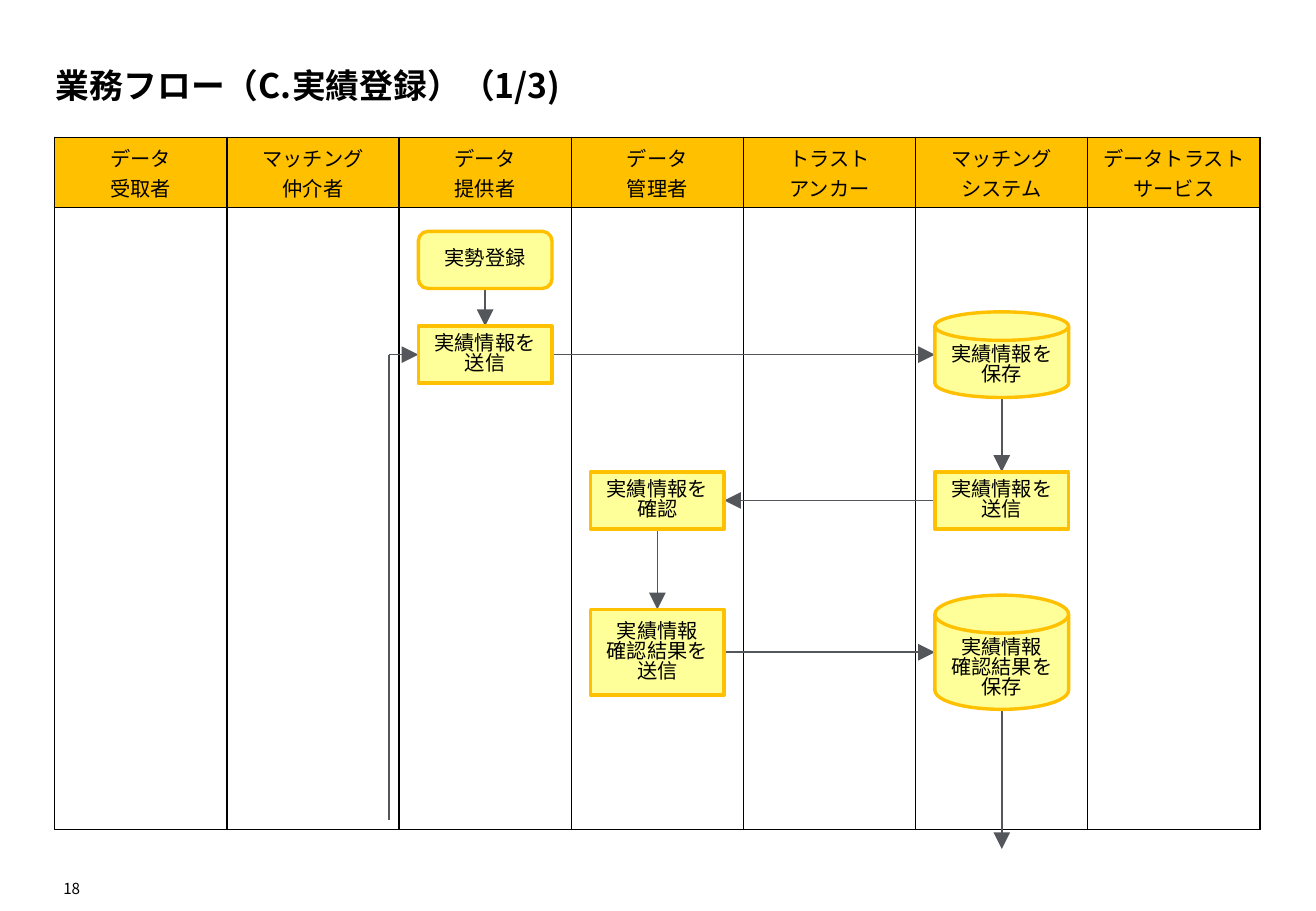
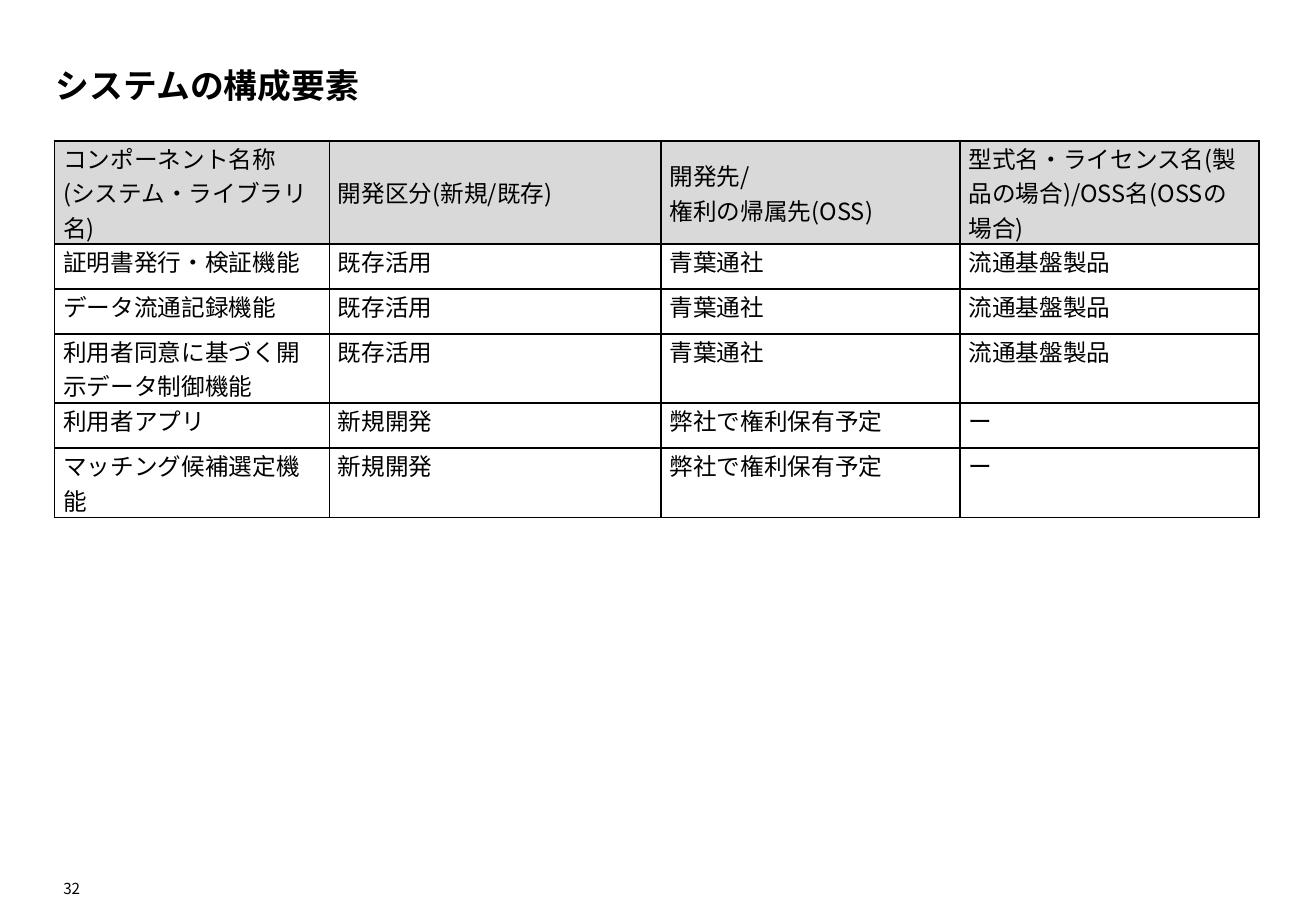
from dataclasses import dataclass

from lxml import etree
from pptx import Presentation
from pptx import util as u
from pptx.dml.color import RGBColor
from pptx.enum import shapes, text
from pptx.oxml.ns import qn


@dataclass(frozen=True)
class Theme:
    black: str = "000000"
    lane_header: str = "FFC000"
    node_fill: str = "FFFF99"
    arrow: str = "53565A"
    table_header: str = "D9D9D9"
    font: str = "Noto Sans CJK JP"
    lane_font: str = "Arial"
    title_size: int = 20
    table_size: int = 14
    flow_size: int = 12
    number_size: int = 9


THEME = Theme()
PROCESS = shapes.MSO_SHAPE.FLOWCHART_PROCESS
START = shapes.MSO_SHAPE.FLOWCHART_ALTERNATE_PROCESS
STORE = shapes.MSO_SHAPE.FLOWCHART_MAGNETIC_DISK
TOP, LEFT, BOTTOM, RIGHT = range(4)
LEFT_ALIGN, CENTER, RIGHT_ALIGN = (
    text.PP_ALIGN.LEFT, text.PP_ALIGN.CENTER, text.PP_ALIGN.RIGHT)

# Page grid, in inches
PAGE_WIDTH, PAGE_HEIGHT = 10.83, 7.5
GRID_LEFT, GRID_WIDTH = 0.45, 9.92
TEXT_LEFT = 0.46
LANES = ["データ\n受取者", "マッチング\n仲介者", "データ\n提供者", "データ\n管理者",
         "トラスト\nアンカー", "マッチング\nシステム", "データトラスト\nサービス"]
LANE_WIDTH = GRID_WIDTH / len(LANES)
PROVIDER, MANAGER, SYSTEM = 2, 3, 5
NODE_WIDTH, NODE_UNIT = 1.1, 0.94 / 4

COMPONENTS = [
    ["コンポーネント名称\v(システム・ライブラリ名)", "開発区分(新規/既存)",
     "開発先/\n権利の帰属先(OSS)", "型式名・ライセンス名(製品の場合)/OSS名(OSSの場合)"],
    ["証明書発行・検証機能", "既存活用", "青葉通社", "流通基盤製品"],
    ["データ流通記録機能", "既存活用", "青葉通社", "流通基盤製品"],
    ["利用者同意に基づく開示データ制御機能", "既存活用", "青葉通社", "流通基盤製品"],
    ["利用者アプリ", "新規開発", "弊社で権利保有予定", "ー"],
    ["マッチング候補選定機能", "新規開発", "弊社で権利保有予定", "ー"],
]


def color(value):
    return RGBColor.from_string(value)


# Text: "\n" starts a paragraph, "\v" breaks a line
def write(frame, content, size, align=LEFT_ALIGN, bold=False, font=THEME.font, spacing=None):
    for index, line in enumerate(content.split("\n")):
        paragraph = frame.paragraphs[0] if index == 0 else frame.add_paragraph()
        paragraph.alignment = align
        if spacing:
            paragraph.line_spacing = spacing
        for part_index, part in enumerate(line.split("\v")):
            if part_index:
                paragraph.add_line_break()
            run = paragraph.add_run()
            run.text = part
            run.font.name = font
            run.font.size = u.Pt(size)
            run.font.bold = bold
            run.font.color.rgb = color(THEME.black)
            east_asian = etree.SubElement(run.font._element, qn("a:ea"))
            east_asian.set("typeface", THEME.font)


def set_insets(frame, inset):
    frame.margin_left = frame.margin_right = u.Inches(inset)
    frame.margin_top = frame.margin_bottom = u.Inches(inset)


def add_label(slide, box, content, size, align=LEFT_ALIGN, bold=False, wrap=True):
    shape = slide.shapes.add_textbox(*map(u.Inches, box))
    frame = shape.text_frame
    set_insets(frame, 0)
    frame.word_wrap = wrap
    frame.vertical_anchor = text.MSO_ANCHOR.BOTTOM
    write(frame, content, size, align, bold)


# Blank slide with the shared title and page number
def add_page(presentation, title, number):
    slide = presentation.slides.add_slide(presentation.slide_layouts[6])
    add_label(slide, (TEXT_LEFT, 0.2, GRID_WIDTH, 0.67), title, THEME.title_size, bold=True)
    add_label(slide, (TEXT_LEFT, 7.2, 0.2, 0.19), number, THEME.number_size,
              RIGHT_ALIGN, wrap=False)
    return slide


# Tables
def add_borders(cell):
    properties = cell._tc.get_or_add_tcPr()
    for side in ("lnL", "lnR", "lnT", "lnB"):
        line = etree.SubElement(properties, qn(f"a:{side}"), w=str(u.Pt(1)))
        fill = etree.SubElement(line, qn("a:solidFill"))
        etree.SubElement(fill, qn("a:srgbClr"), val=THEME.black)


def add_grid(slide, top, widths, heights, rows, header_fill, size,
             align=LEFT_ALIGN, font=THEME.font, insets=None):
    graphic = slide.shapes.add_table(
        len(heights), len(widths), u.Inches(GRID_LEFT), u.Inches(top),
        u.Inches(sum(widths)), u.Inches(sum(heights)))
    table = graphic.table
    table.first_row = table.horz_banding = False
    for column, width in zip(table.columns, widths):
        column.width = u.Inches(width)
    for row, height in zip(table.rows, heights):
        row.height = u.Inches(height)
    for row_index, contents in enumerate(rows):
        for column_index, content in enumerate(contents):
            cell = table.cell(row_index, column_index)
            add_borders(cell)
            if row_index == 0:
                cell.fill.solid()
                cell.fill.fore_color.rgb = color(header_fill)
                cell.vertical_anchor = text.MSO_ANCHOR.MIDDLE
            else:
                cell.fill.background()
            if insets:
                cell.margin_left = cell.margin_right = u.Inches(insets[0])
                cell.margin_top = cell.margin_bottom = u.Inches(insets[1])
            if content:
                write(cell.text_frame, content, size, align, font=font)
    return graphic


# Flow nodes, centred in a lane
def add_node(slide, kind, lane, middle, units, content):
    center = GRID_LEFT + (lane + 0.5) * LANE_WIDTH
    height = units * NODE_UNIT
    shape = slide.shapes.add_shape(
        kind, u.Inches(center - NODE_WIDTH / 2), u.Inches(middle - height / 2),
        u.Inches(NODE_WIDTH), u.Inches(height))
    shape.shadow.inherit = False
    shape.fill.solid()
    shape.fill.fore_color.rgb = color(THEME.node_fill)
    shape.line.color.rgb = color(THEME.lane_header)
    shape.line.width = u.Pt(2)
    frame = shape.text_frame
    set_insets(frame, 0.04)
    frame.word_wrap = False
    frame.vertical_anchor = (text.MSO_ANCHOR.TOP if kind == STORE
                             else text.MSO_ANCHOR.MIDDLE)
    write(frame, content, THEME.flow_size, CENTER, spacing=0.83)
    return shape


def port(shape, site):
    center, middle = shape.left + shape.width // 2, shape.top + shape.height // 2
    return {TOP: (center, shape.top), LEFT: (shape.left, middle),
            BOTTOM: (center, shape.top + shape.height),
            RIGHT: (shape.left + shape.width, middle)}[site]


# Straight line behind the nodes
def add_line(slide, lanes, start, end, head=True):
    connector = slide.shapes.add_connector(shapes.MSO_CONNECTOR.STRAIGHT, *start, *end)
    connector.line.color.rgb = color(THEME.arrow)
    connector.line.width = u.Pt(1)
    if head:
        etree.SubElement(connector.line._get_or_add_ln(), qn("a:tailEnd"),
                         type="triangle", w="lg", len="lg")
    etree.SubElement(connector._element.spPr, qn("a:effectLst"))
    lanes._element.addnext(connector._element)
    return connector


# Arrow between two nodes, joined to every node that is not a store
def add_link(slide, lanes, source, source_site, target, target_site):
    connector = add_line(slide, lanes, port(source, source_site), port(target, target_site))
    if source.auto_shape_type != STORE:
        connector.begin_connect(source, source_site)
    if target.auto_shape_type != STORE:
        connector.end_connect(target, target_site)


def build_flow(presentation):
    slide = add_page(presentation, "業務フロー（C.実績登録）（1/3)", "18")
    lanes = add_grid(slide, 1.13, [LANE_WIDTH] * len(LANES), [0.58, 5.12],
                     [LANES, [""] * len(LANES)], THEME.lane_header, THEME.flow_size,
                     CENTER, THEME.lane_font)

    # Steps
    start = add_node(slide, START, PROVIDER, 2.14, 2, "実勢登録")
    send = add_node(slide, PROCESS, PROVIDER, 2.92, 2, "実績情報を\v送信")
    save = add_node(slide, STORE, SYSTEM, 2.92, 3, "実績情報を\v保存")
    forward = add_node(slide, PROCESS, SYSTEM, 4.12, 2, "実績情報を\v送信")
    check = add_node(slide, PROCESS, MANAGER, 4.12, 2, "実績情報を\v確認")
    reply = add_node(slide, PROCESS, MANAGER, 5.37, 3, "実績情報\v確認結果を\v送信")
    save_reply = add_node(slide, STORE, SYSTEM, 5.37, 4, "実績情報\v確認結果を\v保存")

    # Links between steps
    for link in [(start, BOTTOM, send, TOP), (send, RIGHT, save, LEFT),
                 (save, BOTTOM, forward, TOP), (forward, LEFT, check, RIGHT),
                 (check, BOTTOM, reply, TOP), (reply, RIGHT, save_reply, LEFT)]:
        add_link(slide, lanes, *link)

    # Return path from, and exit to, the next page
    send_port = port(send, LEFT)
    corner = (u.Inches(3.2), send_port[1])
    add_line(slide, lanes, (corner[0], u.Inches(6.75)), corner, head=False)
    add_line(slide, lanes, corner, send_port).end_connect(send, LEFT)
    exit_port = port(save_reply, BOTTOM)
    add_line(slide, lanes, exit_port, (exit_port[0], u.Inches(6.99)))


def build_components(presentation):
    slide = add_page(presentation, "システムの構成要素", "32")
    add_grid(slide, 1.16, [2.26, 2.73, 2.46, 2.46], [0.85, 0.37, 0.37, 0.57, 0.37, 0.57],
             COMPONENTS, THEME.table_header, THEME.table_size, insets=(0.07, 0))


def main():
    presentation = Presentation()
    presentation.slide_width = u.Inches(PAGE_WIDTH)
    presentation.slide_height = u.Inches(PAGE_HEIGHT)
    build_flow(presentation)
    build_components(presentation)
    presentation.save("out.pptx")


if __name__ == "__main__":
    main()
